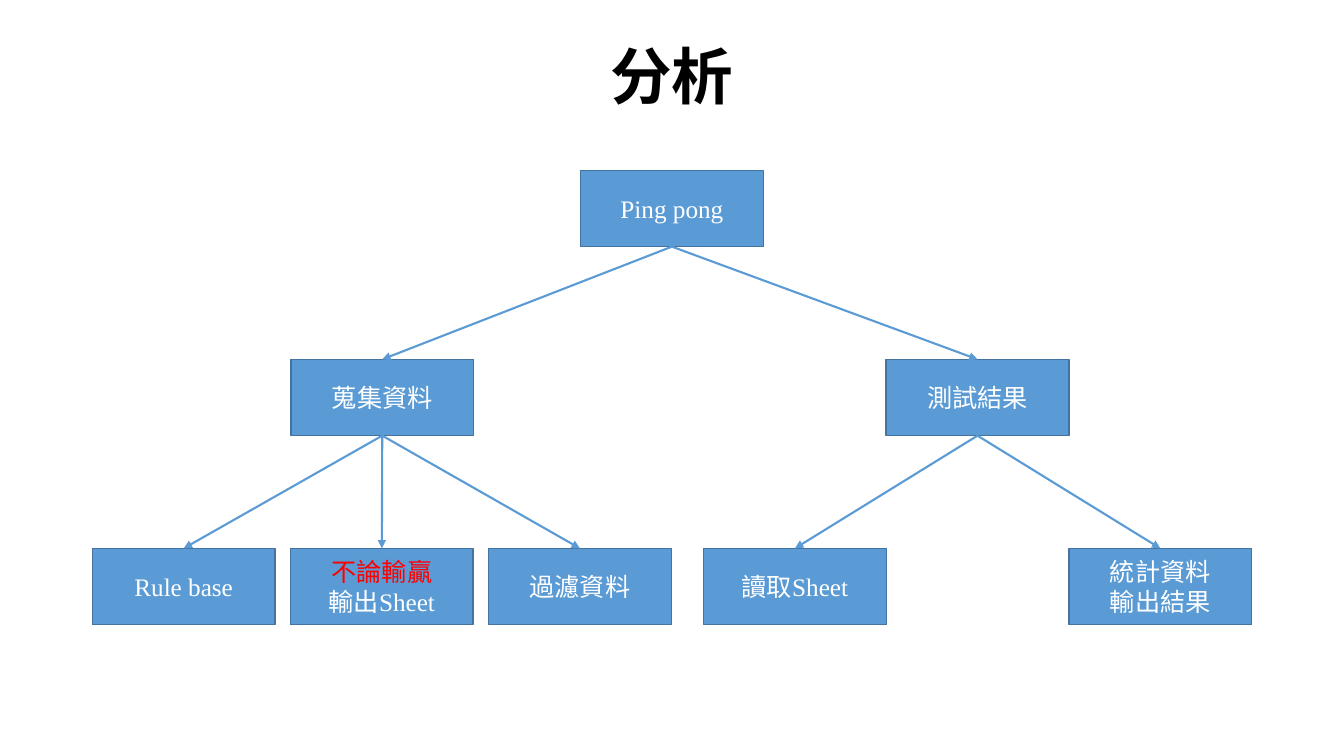
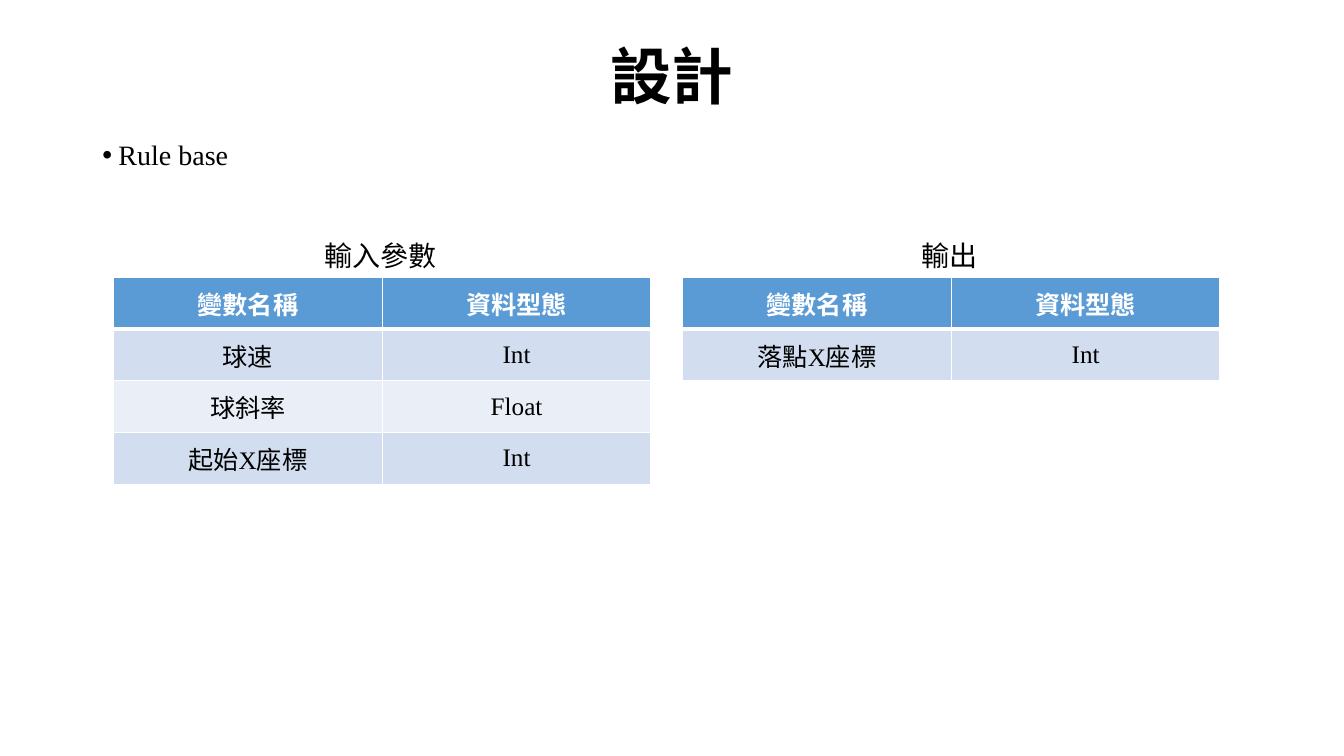
from dataclasses import dataclass
from typing import Optional

from lxml import etree
from pptx import Presentation
from pptx.dml.color import RGBColor
from pptx.enum.shapes import MSO_CONNECTOR as Line, MSO_SHAPE as Form
from pptx.enum.text import MSO_ANCHOR as Anchor, PP_ALIGN as Align
from pptx.oxml.ns import qn
from pptx.util import Pt

# Shared style
BLUE = RGBColor(0x5B, 0x9B, 0xD5)
EDGE = RGBColor(0x43, 0x73, 0x9E)
BAND = RGBColor(0xD2, 0xDE, 0xEF)
PALE = RGBColor(0xEA, 0xEF, 0xF7)
WHITE = RGBColor(0xFF, 0xFF, 0xFF)
BLACK = RGBColor(0, 0, 0)
RED = RGBColor(0xFF, 0, 0)
SERIF, SANS = "Times New Roman", "Noto Sans CJK SC"
LEFT, WIDE = 66, 828  # content margin and width

# Tree and table measures
BOX_W, BOX_H = 130.5, 54.5
TREE_TOP, TREE_STEP = 121.7, 135
ROW_H, COL_W, GRID_TOP = 36.9, 192, 198.3


@dataclass
class Node:
    key: str
    level: int
    left: float
    lines: list[str]
    top: Optional[str] = None  # key of the parent node
    font: str = SERIF
    lead: RGBColor = WHITE  # colour of the first line


@dataclass
class Grid:
    left: float
    name: str
    rows: list[tuple[str, str]]


NODES = [
    Node("root", 0, 414.7, ["Ping pong"]),
    Node("data", 1, 207.8, ["蒐集資料"], "root", SANS),
    Node("test", 1, 633, ["測試結果"], "root", SANS),
    Node("rule", 2, 66, ["Rule base"], "data"),
    Node("save", 2, 207.5, ["不論輸贏", "輸出Sheet"], "data", lead=RED),
    Node("sift", 2, 349, ["過濾資料"], "data"),
    Node("read", 2, 502.6, ["讀取Sheet"], "test"),
    Node("sum", 2, 763.6, ["統計資料", "輸出結果"], "test"),
]
HEAD = ("變數名稱", "資料型態")
GRIDS = [
    Grid(81, "輸入參數",
         [HEAD, ("球速", "Int"), ("球斜率", "Float"), ("起始X座標", "Int")]),
    Grid(487.5, "輸出", [HEAD, ("落點X座標", "Int")]),
]


# Text helpers
def add_run(para, text: str, size: float, color: RGBColor,
            font: str = SERIF, bold: bool = False) -> None:
    run = para.add_run()
    run.text = text
    face = run.font
    face.size, face.bold, face.name = Pt(size), bold, font
    face.color.rgb = color
    east = etree.Element(qn("a:ea"), typeface=SANS)
    run._r.rPr.find(qn("a:latin")).addnext(east)


def add_text(slide, left: float, top: float, width: float, height: float,
             wrap: bool = True):
    box = slide.shapes.add_textbox(Pt(left), Pt(top), Pt(width), Pt(height))
    box.text_frame.word_wrap = wrap
    return box.text_frame


def add_title(slide, text: str) -> None:
    frame = add_text(slide, LEFT, 28.2, WIDE, 57)
    frame.vertical_anchor = Anchor.MIDDLE
    para = frame.paragraphs[0]
    para.alignment, para.line_spacing = Align.CENTER, 0.9
    add_run(para, text, 44, BLACK, bold=True)


def add_bullet(slide, text: str) -> None:
    para = add_text(slide, LEFT, 95, WIDE, 397).paragraphs[0]
    para.space_before = Pt(3)
    props = para._p.get_or_add_pPr()
    props.set("marL", str(Pt(11.5)))
    props.set("indent", str(-Pt(11.5)))
    etree.SubElement(props, qn("a:buFont"), typeface="Arial")
    etree.SubElement(props, qn("a:buChar"), char="•")
    add_run(para, text, 20, BLACK)


# Tree parts
def add_node(slide, node: Node):
    top = TREE_TOP + node.level * TREE_STEP
    box = slide.shapes.add_shape(Form.RECTANGLE, Pt(node.left), Pt(top),
                                 Pt(BOX_W), Pt(BOX_H))
    box.shadow.inherit = False
    box.fill.solid()
    box.fill.fore_color.rgb = BLUE
    box.line.color.rgb, box.line.width = EDGE, Pt(1)
    frame = box.text_frame
    frame.word_wrap, frame.vertical_anchor = True, Anchor.MIDDLE
    for i, text in enumerate(node.lines):
        para = frame.add_paragraph() if i else frame.paragraphs[0]
        para.alignment = Align.CENTER
        add_run(para, text, 18, WHITE if i else node.lead, node.font)
    return box


def add_arrow(slide, start, end) -> None:
    link = slide.shapes.add_connector(Line.STRAIGHT, 0, 0, 0, 0)
    link.begin_connect(start, 2)  # bottom centre
    link.end_connect(end, 0)  # top centre
    link.line.color.rgb, link.line.width = BLUE, Pt(1.5)
    etree.SubElement(link.line._get_or_add_ln(), qn("a:tailEnd"),
                     type="triangle")
    etree.SubElement(link._element.spPr, qn("a:effectLst"))


# Table parts
def add_edges(cell, above: float, below: float) -> None:
    props = cell._tc.get_or_add_tcPr()
    for side, width in (("L", 1), ("R", 1), ("T", above), ("B", below)):
        edge = etree.SubElement(props, qn(f"a:ln{side}"), w=str(Pt(width)))
        fill = etree.SubElement(edge, qn("a:solidFill"))
        etree.SubElement(fill, qn("a:srgbClr"), val=str(WHITE))


def add_cell(cell, text: str, row: int) -> None:
    head = row == 0
    add_edges(cell, 3 if row == 1 else 1, 3 if head else 1)
    cell.fill.solid()
    cell.fill.fore_color.rgb = BLUE if head else BAND if row % 2 else PALE
    cell.vertical_anchor = Anchor.MIDDLE
    para = cell.text_frame.paragraphs[0]
    para.alignment = Align.CENTER
    add_run(para, text, 18, WHITE if head else BLACK, bold=head)


def add_grid(slide, grid: Grid) -> None:
    count, width = len(grid.rows), 2 * COL_W
    table = slide.shapes.add_table(count, 2, Pt(grid.left), Pt(GRID_TOP),
                                   Pt(width), Pt(count * ROW_H)).table
    for col in table.columns:
        col.width = Pt(COL_W)
    for r, texts in enumerate(grid.rows):
        table.rows[r].height = Pt(ROW_H)
        for c, text in enumerate(texts):
            add_cell(table.cell(r, c), text, r)
    # Caption centred above the table
    span = 20 * len(grid.name) + 17
    frame = add_text(slide, grid.left + (width - span) / 2, 167, span, 31.5,
                     wrap=False)
    add_run(frame.paragraphs[0], grid.name, 20, BLACK, SANS)


def main() -> None:
    deck = Presentation()
    deck.slide_width, deck.slide_height = Pt(960), Pt(540)
    blank = deck.slide_layouts[6]

    # Analysis tree
    slide = deck.slides.add_slide(blank)
    add_title(slide, "分析")
    boxes = {node.key: add_node(slide, node) for node in NODES}
    for node in NODES:
        if node.top:
            add_arrow(slide, boxes[node.top], boxes[node.key])

    # Design tables
    slide = deck.slides.add_slide(blank)
    add_title(slide, "設計")
    add_bullet(slide, "Rule base")
    for grid in GRIDS:
        add_grid(slide, grid)

    deck.save("out.pptx")


if __name__ == "__main__":
    main()
